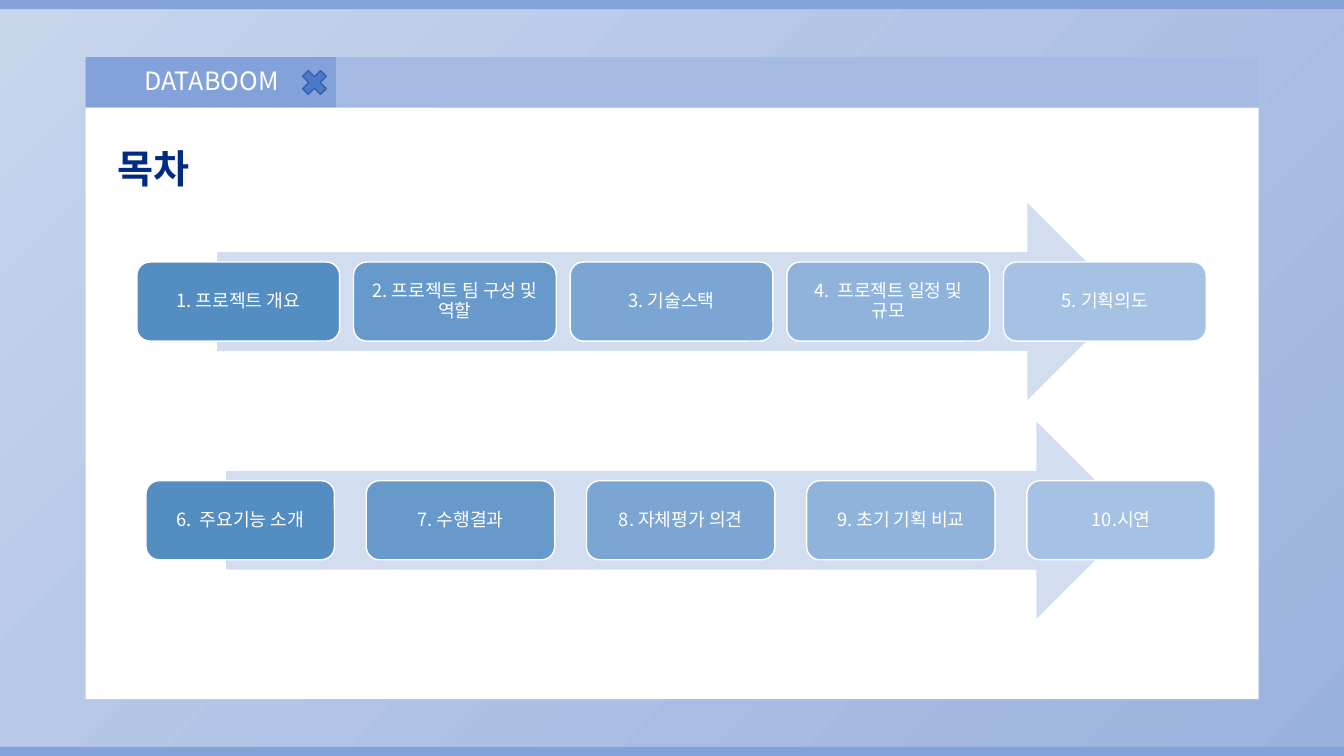
from lxml import etree
from pptx import Presentation
from pptx.dml.color import RGBColor
from pptx.enum.shapes import MSO_SHAPE
from pptx.enum.text import MSO_ANCHOR, PP_ALIGN
from pptx.oxml.ns import qn
from pptx.util import Cm, Pt

RECT = MSO_SHAPE.RECTANGLE
ROUND = MSO_SHAPE.ROUNDED_RECTANGLE
ARROW = MSO_SHAPE.RIGHT_ARROW
CROSS = MSO_SHAPE.MATH_MULTIPLY
LEFT, CENTER = PP_ALIGN.LEFT, PP_ALIGN.CENTER
TOP, MIDDLE = MSO_ANCHOR.TOP, MSO_ANCHOR.MIDDLE

FONT = "Noto Sans CJK KR"
WIDTH, HEIGHT = 33.87, 19.05
COLORS = {
    "bg_start": "C7D5ED",
    "bg_end": "9AB2DE",
    "white": "FFFFFF",
    "tab": "83A2D9",
    "header": "A5BBE3",
    "cross": "4D79C7",
    "cross_line": "3660AC",
    "title": "002B82",
    "arrow": "D2DEEF",
    "step1": "538DC1",
    "step2": "6799CA",
    "step3": "7BA6D3",
    "step4": "90B3DB",
    "step5": "A5C1E3",
}
FIRST_STEPS = ["1. 프로젝트 개요", "2. 프로젝트 팀 구성 및 역할", "3. 기술스택",
               "4.  프로젝트 일정 및 규모", "5. 기획의도"]
LAST_STEPS = ["6.  주요기능 소개", "7. 수행결과", "8. 자체평가 의견",
              "9. 초기 기획 비교", "10.시연"]


def rgb(name):
    return RGBColor.from_string(COLORS[name])


def add_box(s, kind, x, y, w, h, fill, line=None):
    sp = s.shapes.add_shape(kind, Cm(x), Cm(y), Cm(w), Cm(h))
    sp.shadow.inherit = False
    sp.fill.solid()
    sp.fill.fore_color.rgb = rgb(fill)
    if line:
        sp.line.color.rgb = rgb(line)
        sp.line.width = Pt(1)
    else:
        sp.line.fill.background()
    return sp


def write(sp, text, size=18, color="white", bold=False, align=LEFT,
          anchor=TOP, wrap=True, spacing=None, inset=None):
    tf = sp.text_frame
    tf.word_wrap = wrap
    tf.vertical_anchor = anchor
    if inset is not None:
        tf.margin_left = tf.margin_right = Cm(inset)
        tf.margin_top = tf.margin_bottom = Cm(inset)
    p = tf.paragraphs[0]
    p.alignment = align
    if spacing:
        p.line_spacing = spacing
    r = p.add_run()
    r.text = text
    r.font.size = Pt(size)
    r.font.bold = bold
    r.font.color.rgb = rgb(color)
    r.font.name = FONT
    etree.SubElement(r._r.get_or_add_rPr(), qn("a:ea"), typeface=FONT)


def add_label(s, x, y, w, h, text, **fmt):
    write(s.shapes.add_textbox(Cm(x), Cm(y), Cm(w), Cm(h)), text, **fmt)


def add_backdrop(s, w, h, bar=0.23):
    fill = s.background.fill
    fill.gradient()
    fill.gradient_angle = 315
    for stop, name in zip(fill.gradient_stops, ("bg_start", "bg_end")):
        stop.color.rgb = rgb(name)
    for y in (0, h - bar):
        add_box(s, RECT, 0, y, w, bar, "tab")


def add_window(s, x, y, w, h, tab=6.32, head=1.27):
    add_box(s, RECT, x, y + head, w, h - head, "white")
    add_box(s, RECT, x, y, tab, head, "tab")
    add_box(s, RECT, x + tab, y, w - tab, head, "header")
    cross = add_box(s, CROSS, x + 5.33, y + 0.2, 0.87, 0.88, "cross", "cross_line")
    cross.adjustments[0] = 0.235
    add_label(s, x + 1.22, y + 0.07, 4.32, 1.02, "DATABOOM")
    add_label(s, x + 0.56, y + 2.08, 2.49, 1.45, "목차",
              size=28, color="title", bold=True, wrap=False)


def add_step_row(s, x, y, w, h, steps, step_w):
    add_box(s, ARROW, x + 0.075 * w, y, 0.85 * w, h, "arrow")
    pitch = (w - step_w) / (len(steps) - 1)
    for i, text in enumerate(steps):
        sp = add_box(s, ROUND, x + i * pitch, y + 0.3 * h, step_w, 0.4 * h,
                     f"step{i + 1}", "white")
        write(sp, text, size=13, align=CENTER, anchor=MIDDLE,
              spacing=0.9, inset=0.13)


def main():
    prs = Presentation()
    prs.slide_width, prs.slide_height = Cm(WIDTH), Cm(HEIGHT)
    s = prs.slides.add_slide(prs.slide_layouts[6])
    add_backdrop(s, WIDTH, HEIGHT)
    add_window(s, 2.16, 1.44, 29.56, 16.18)
    add_step_row(s, 3.68, 10.62, 26.95, 4.98, LAST_STEPS, 4.75)
    add_step_row(s, 3.45, 5.11, 26.95, 4.98, FIRST_STEPS, 5.11)
    prs.save("out.pptx")


if __name__ == "__main__":
    main()
